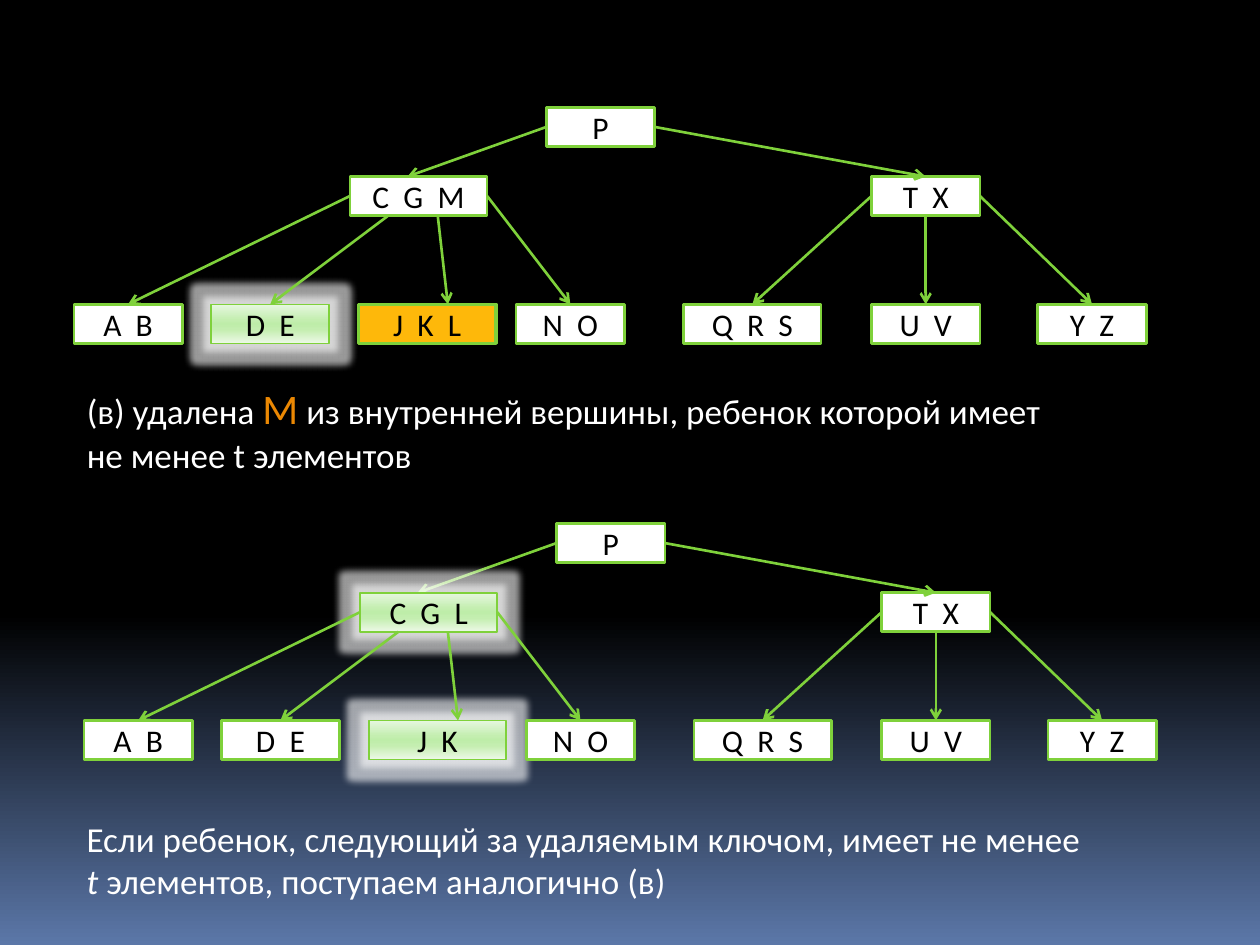
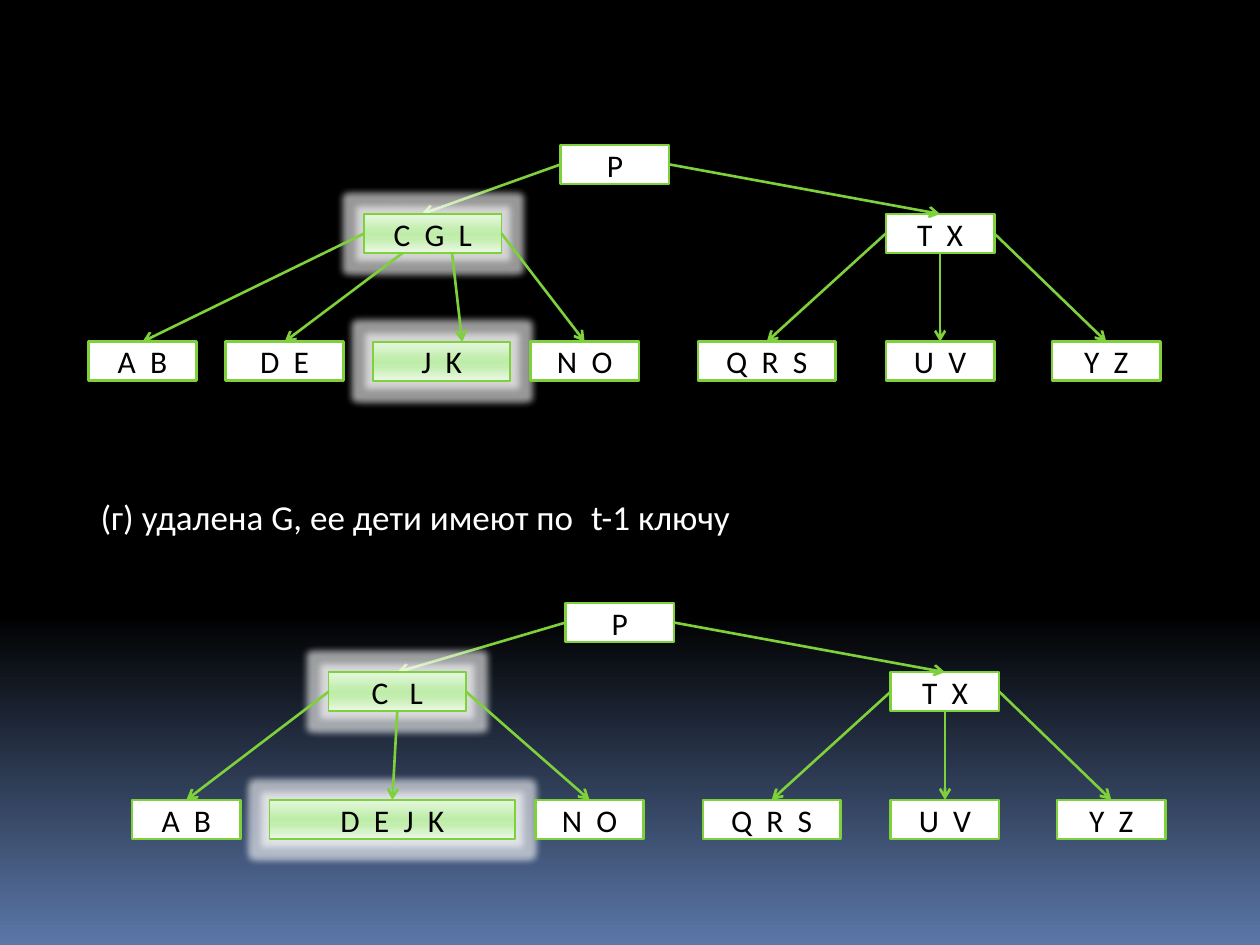
"""Build two slides that show key deletion from a B-tree."""
from dataclasses import dataclass, replace

from lxml.etree import SubElement
from pptx import Presentation
from pptx.dml.color import RGBColor as Rgb
from pptx.enum.shapes import MSO_CONNECTOR as Connector, MSO_SHAPE as Shape
from pptx.enum.text import MSO_ANCHOR as Anchor, PP_ALIGN as Align
from pptx.oxml.ns import qn
from pptx.util import Pt


@dataclass(frozen=True)
class Theme:
    font: str = "Calibri"
    key_size: float = 18
    body_size: float = 20
    accent_size: float = 24
    key_color: str = "000000"
    body_color: str = "FFFFFF"
    accent: str = "EB8803"
    edge: str = "7FD13B"
    edge_width: float = 1.5
    plain: str = "FFFFFF"
    source: str = "FEB80A"
    source_width: float = 2
    changed: tuple = ((0, "E6F7E0"), (40, "C4EEB0"), (50, "BEEDA9"),
                      (65, "C4EEB0"), (100, "ECF8E6"))
    changed_width: float = 0.94
    glow: str = "FFFFFF"
    glow_radius: float = 8
    glow_opacity: int = 60
    backdrop: tuple = ((0, "000000"), (65, "000000"), (100, "5B77A8"))


@dataclass(frozen=True)
class Node:
    text: str
    x: float
    width: float
    role: str = "plain"
    leave: float = 0.5
    enter: float = 0.5


NARROW, MEDIUM, WIDE, MERGED = 62, 67.5, 78.5, 140.4
NODE_HEIGHT, INNER_DROP, LEAF_DROP = 22.3, 39.5, 112.5
ROOT = Node("P", 0, NARROW)
RIGHT = Node("T  X", 185.8, NARROW, leave=1)
RIGHT_LEAVES = [
    Node("Q  R  S", 78.5, WIDE, leave=0),
    Node("U  V", 185.8, NARROW),
    Node("Y  Z", 280.8, NARROW, leave=1),
]
LEFT = Node("C  G  L", -112.3, WIDE, "changed", leave=0, enter=0.42)
AB = Node("A  B", -270, NARROW, leave=0)
DE = Node("D  E", -191.5, MEDIUM, leave=0.28)
JK = Node("J  K", -107.3, WIDE, "changed", leave=0.64, enter=0.65)
NO = Node("N  O", -17.3, NARROW, leave=1)


def write(frame, paragraphs, *, font, size, color, align=Align.LEFT, anchor=Anchor.TOP):
    """Fill a text frame with paragraphs of (text, overrides) spans."""
    frame.word_wrap = True
    frame.vertical_anchor = anchor
    for index, spans in enumerate(paragraphs):
        para = frame.add_paragraph() if index else frame.paragraphs[0]
        para.alignment = align
        for text, changes in spans:
            span = para.add_run()
            span.text = text
            span.font.name = font
            span.font.size = Pt(changes.get("size", size))
            span.font.color.rgb = Rgb.from_string(changes.get("color", color))
            span.font.italic = changes.get("italic", False)


def add_color(parent, color):
    """Append an RGB colour element."""
    return SubElement(parent, qn("a:srgbClr"), val=color)


def blend(fill, element, stops):
    """Apply a top-to-bottom gradient with any number of stops."""
    fill.gradient()
    fill.gradient_angle = 270
    stop_list = next(element.iter(qn("a:gsLst")))
    for stop in list(stop_list):
        stop_list.remove(stop)
    for position, color in stops:
        add_color(SubElement(stop_list, qn("a:gs"), pos=str(position * 1000)), color)


class TreePainter:
    """Draw B-trees and captions on the current slide."""

    def __init__(self, deck, theme):
        self.deck = deck
        self.theme = theme
        self.page = None
        self.canvas = None
        master = deck.slide_master
        blend(master.background.fill, master.element, theme.backdrop)

    def new_page(self):
        """Start a blank slide."""
        self.page = self.deck.slides.add_slide(self.deck.slide_layouts[6])

    def box(self, node, left, top):
        """Draw one tree node."""
        theme = self.theme
        box = self.canvas.add_shape(Shape.RECTANGLE, Pt(left + node.x), Pt(top),
                                    Pt(node.width), Pt(NODE_HEIGHT))
        box.shadow.inherit = False
        widths = {"plain": theme.edge_width, "source": theme.source_width,
                  "changed": theme.changed_width}
        box.line.color.rgb = Rgb.from_string(theme.edge)
        box.line.width = Pt(widths[node.role])
        if node.role == "changed":
            blend(box.fill, box.element, theme.changed)
            self.glow(box)
        else:
            box.fill.solid()
            box.fill.fore_color.rgb = Rgb.from_string(getattr(theme, node.role))
        write(box.text_frame, [[(node.text, {})]], font=theme.font, size=theme.key_size,
              color=theme.key_color, align=Align.CENTER, anchor=Anchor.MIDDLE)

    def glow(self, box):
        """Surround a box with a translucent glow."""
        effects = box.element.spPr.find(qn("a:effectLst"))
        halo = SubElement(effects, qn("a:glow"), rad=str(Pt(self.theme.glow_radius)))
        tint = add_color(halo, self.theme.glow)
        SubElement(tint, qn("a:alpha"), val=str(self.theme.glow_opacity * 1000))

    def arrow(self, parent, child, left, parent_top, child_top):
        """Link a parent's side or lower edge to the top of a child."""
        from_side = child.leave in (0, 1)
        start_y = parent_top + NODE_HEIGHT * (0.5 if from_side else 1)
        arrow = self.canvas.add_connector(
            Connector.STRAIGHT,
            Pt(left + parent.x + parent.width * child.leave), Pt(start_y),
            Pt(left + child.x + child.width * child.enter), Pt(child_top))
        arrow.line.color.rgb = Rgb.from_string(self.theme.edge)
        arrow.line.width = Pt(self.theme.edge_width)
        properties = arrow.element.spPr
        SubElement(properties.find(qn("a:ln")), qn("a:tailEnd"), type="arrow")
        SubElement(properties, qn("a:effectLst"))

    def tree(self, left, top, inner, leaves):
        """Draw a tree whose right half never changes."""
        self.canvas = self.page.shapes.add_group_shape().shapes
        inner_top, leaf_top = top + INNER_DROP, top + LEAF_DROP
        self.box(ROOT, left, top)
        self.arrow(ROOT, inner, left, top, inner_top)
        self.box(inner, left, inner_top)
        self.box(RIGHT, left, inner_top)
        self.arrow(ROOT, RIGHT, left, top, inner_top)
        for parent, children in ((inner, leaves), (RIGHT, RIGHT_LEAVES)):
            for child in children:
                self.box(child, left, leaf_top)
            for child in children:
                self.arrow(parent, child, left, inner_top, leaf_top)

    def caption(self, left, top, width, height, paragraphs):
        """Add an explanation below a tree."""
        box = self.page.shapes.add_textbox(Pt(left), Pt(top), Pt(width), Pt(height))
        write(box.text_frame, paragraphs, font=self.theme.font,
              size=self.theme.body_size, color=self.theme.body_color)


def main():
    """Create and save the deck."""
    deck = Presentation()
    deck.slide_width, deck.slide_height = Pt(720), Pt(540)
    theme = Theme()
    painter = TreePainter(deck, theme)
    accent = {"size": theme.accent_size, "color": theme.accent}

    painter.new_page()
    painter.tree(312.2, 61.4, replace(LEFT, text="C  G  M", role="plain"),
                 [AB, replace(DE, role="changed"),
                  replace(JK, text="J  K  L", role="source"), NO])
    painter.tree(318, 299.2, LEFT, [AB, DE, JK, NO])
    painter.caption(42.5, 215.3, 619, 82, [
        [("(в) удалена ", {}), ("M", accent),
         (" из внутренней вершины, ребенок которой имеет", {})],
        [("не менее t элементов", {})],
    ])
    painter.caption(42.5, 463.7, 587.5, 55.4, [
        [("Если ребенок, следующий за удаляемым ключом, имеет не менее ", {}),
         ("t", {"italic": True}), (" элементов, поступаем аналогично (в)", {})],
    ])

    painter.new_page()
    painter.tree(320.4, 82.8, LEFT, [AB, DE, JK, NO])
    painter.tree(323.2, 344.6, replace(LEFT, text="C   L", x=-135.4, enter=0.5),
                 [replace(AB, x=-247.7), Node("D  E  J  K", -169.2, MERGED, "changed"), NO])
    painter.caption(50.4, 275.8, 551.5, 36, [
        [("(г) удалена G, ее дети имеют по ", {}), (" ", accent), ("t-1 ключу", {})],
    ])
    deck.save("out.pptx")


if __name__ == "__main__":
    main()
